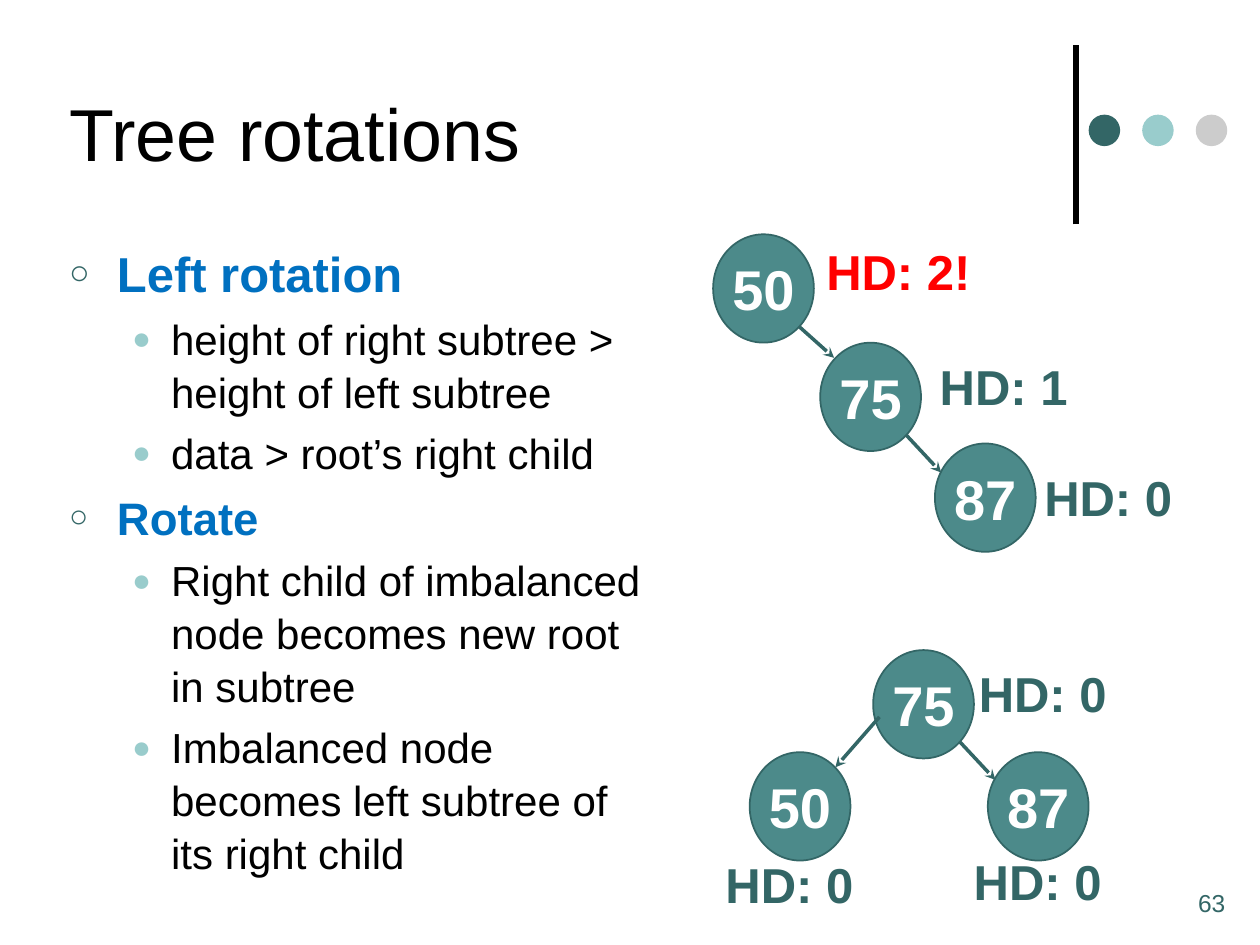
from lxml import etree
from pptx import Presentation
from pptx.dml.color import RGBColor
from pptx.enum.shapes import MSO_CONNECTOR, MSO_SHAPE
from pptx.enum.text import MSO_ANCHOR, PP_ALIGN
from pptx.oxml.ns import qn
from pptx.util import Inches, Pt

LINE = MSO_CONNECTOR.STRAIGHT
OVAL = MSO_SHAPE.OVAL
MIDDLE, TOP = MSO_ANCHOR.MIDDLE, MSO_ANCHOR.TOP
LEFT, CENTER = PP_ALIGN.LEFT, PP_ALIGN.CENTER
COLS, ROWS = 100, 75
TEAL, AQUA, GREY, NODE = "336666", "99CCCC", "CCCCCC", "4C8A8A"
BLUE, RED, BLACK, WHITE = "0070C0", "FF0000", "000000", "FFFFFF"
NODE_W, NODE_H = 8, 8.6

prs = Presentation()
prs.slide_width, prs.slide_height = Inches(10), Inches(7.5)
CELL = prs.slide_width / COLS


def grid(*values):
    return [round(v * CELL) for v in values]


def rgb(color):
    return RGBColor.from_string(color)


def write(p, text, size=24, color=BLACK, bold=False, align=LEFT):
    p.alignment = align
    r = p.add_run()
    r.text = text
    r.font.name = "Arial"
    r.font.size = Pt(size)
    r.font.bold = bold
    r.font.color.rgb = rgb(color)


def add_text(s, box, text, wrap=False, **fmt):
    tf = s.shapes.add_textbox(*grid(*box)).text_frame
    tf.word_wrap = wrap
    write(tf.paragraphs[0], text, **fmt)


def add_oval(s, box, fill, line=None):
    sp = s.shapes.add_shape(OVAL, *grid(*box))
    sp.shadow.inherit = False
    sp.fill.solid()
    sp.fill.fore_color.rgb = rgb(fill)
    if line:
        sp.line.color.rgb = rgb(line)
        sp.line.width = Pt(1)
    else:
        sp.line.fill.background()
    return sp


def add_line(s, ends, color, width, arrow=False):
    c = s.shapes.add_connector(LINE, *grid(*ends))
    c.line.color.rgb = rgb(color)
    c.line.width = Pt(width)
    if arrow:
        etree.SubElement(c.line._get_or_add_ln(), qn("a:tailEnd"), type="stealth")
    etree.SubElement(c._element.spPr, qn("a:effectLst"))


def add_bullet(p, char, color, percent, margin, indent):
    pPr = p._p.get_or_add_pPr()
    pPr.set("marL", str(Inches(margin)))
    pPr.set("indent", str(-Inches(indent)))
    clr = etree.SubElement(pPr, qn("a:buClr"))
    etree.SubElement(clr, qn("a:srgbClr"), val=color)
    etree.SubElement(pPr, qn("a:buSzPct"), val=str(percent * 1000))
    etree.SubElement(pPr, qn("a:buFont"), typeface="Arial")
    etree.SubElement(pPr, qn("a:buChar"), char=char)


def title(s, box, text):
    sp = s.shapes.title
    sp.left, sp.top, sp.width, sp.height = grid(*box)
    tf = sp.text_frame
    tf.vertical_anchor = MIDDLE
    write(tf.paragraphs[0], text, size=42)


def ornament(s, x, y, h):
    add_line(s, (x, y + h, x, y), BLACK, 3)
    for i, color in enumerate((TEAL, AQUA, GREY)):
        add_oval(s, (x + 1 + 4.25 * i, y + 5.5, 2.5, 2.5), color)


def outline(s, box, sections):
    tf = s.shapes.add_textbox(*grid(*box)).text_frame
    tf.word_wrap = True
    tf.vertical_anchor = TOP
    rows = []
    for heading, size, items in sections:
        rows.append((0, heading, dict(size=size, color=BLUE, bold=True)))
        rows += [(1, item, dict(size=24)) for item in items]
    for i, (level, text, fmt) in enumerate(rows):
        p = tf.add_paragraph() if i else tf.paragraphs[0]
        p.level = level
        p.line_spacing = 1.05
        p.space_before = Pt(fmt["size"] * 0.2)
        write(p, text, **fmt)
        if level:
            add_bullet(p, "●", AQUA, 75, 0.81, 0.31)
        else:
            add_bullet(p, "○", TEAL, 70, 0.38, 0.38)


def tree(s, x, y, nodes, arrows):
    for key, dx, dy, label, lx, ly, color in nodes:
        sp = add_oval(s, (x + dx, y + dy, NODE_W, NODE_H), NODE, TEAL)
        tf = sp.text_frame
        tf.word_wrap = False
        tf.vertical_anchor = MIDDLE
        write(tf.paragraphs[0], key, size=32, color=WHITE, bold=True, align=CENTER)
        add_text(s, (x + lx, y + ly, 12.3 if color == TEAL else 13.6, 5.7),
                 label, size=28, color=color, bold=True)
    for x1, y1, x2, y2 in arrows:
        add_line(s, (x + x1, y + y1, x + x2, y + y2), TEAL, 2, arrow=True)


def main():
    s = prs.slides.add_slide(prs.slide_layouts[5])
    ornament(s, 85.4, 3.6, 14.2)
    title(s, (4.5, 2.1, 76.7, 16.7), "Tree rotations")
    outline(s, (4.5, 18.6, 48.1, 54.2), [
        ("Left rotation", 28, ["height of right subtree > height of left subtree",
                               "data > root’s right child"]),
        ("Rotate", 26, ["Right child of imbalanced node becomes new root in subtree",
                        "Imbalanced node becomes left subtree of its right child"]),
    ])
    tree(s, 56.6, 18.6, [
        ("50", 0, 0, "HD: 2!", 8, 0.1, RED),
        ("75", 8.5, 8.6, "HD: 1", 17, 9.2, TEAL),
        ("87", 17.6, 16.6, "HD: 0", 25.3, 18, TEAL),
    ], [(6.8, 7.3, 9.6, 9.8), (15.3, 15.9, 18.1, 18.9)])
    tree(s, 59.5, 51.6, [
        ("75", 9.8, 0, "HD: 0", 17.2, 0.6, TEAL),
        ("50", 0, 8.1, "HD: 0", -2.9, 15.7, TEAL),
        ("87", 18.9, 8.1, "HD: 0", 16.8, 15.5, TEAL),
    ], [(10.3, 5.3, 6.8, 9.3), (16.7, 7.3, 19.5, 10.3)])
    add_text(s, (94.1, ROWS - 5, 5.9, 5), "63", wrap=True, size=14, color=TEAL)
    prs.save("out.pptx")


if __name__ == "__main__":
    main()
